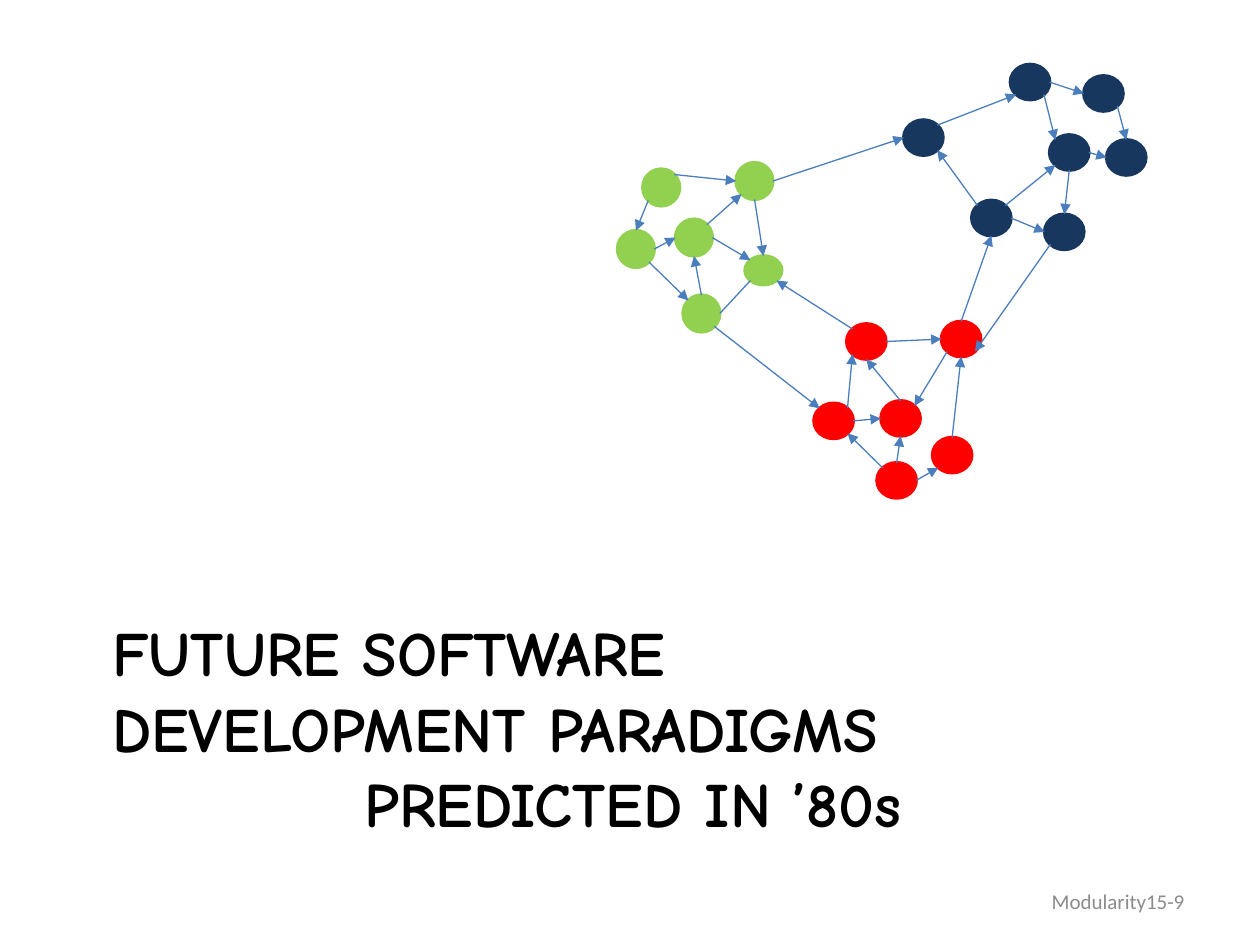
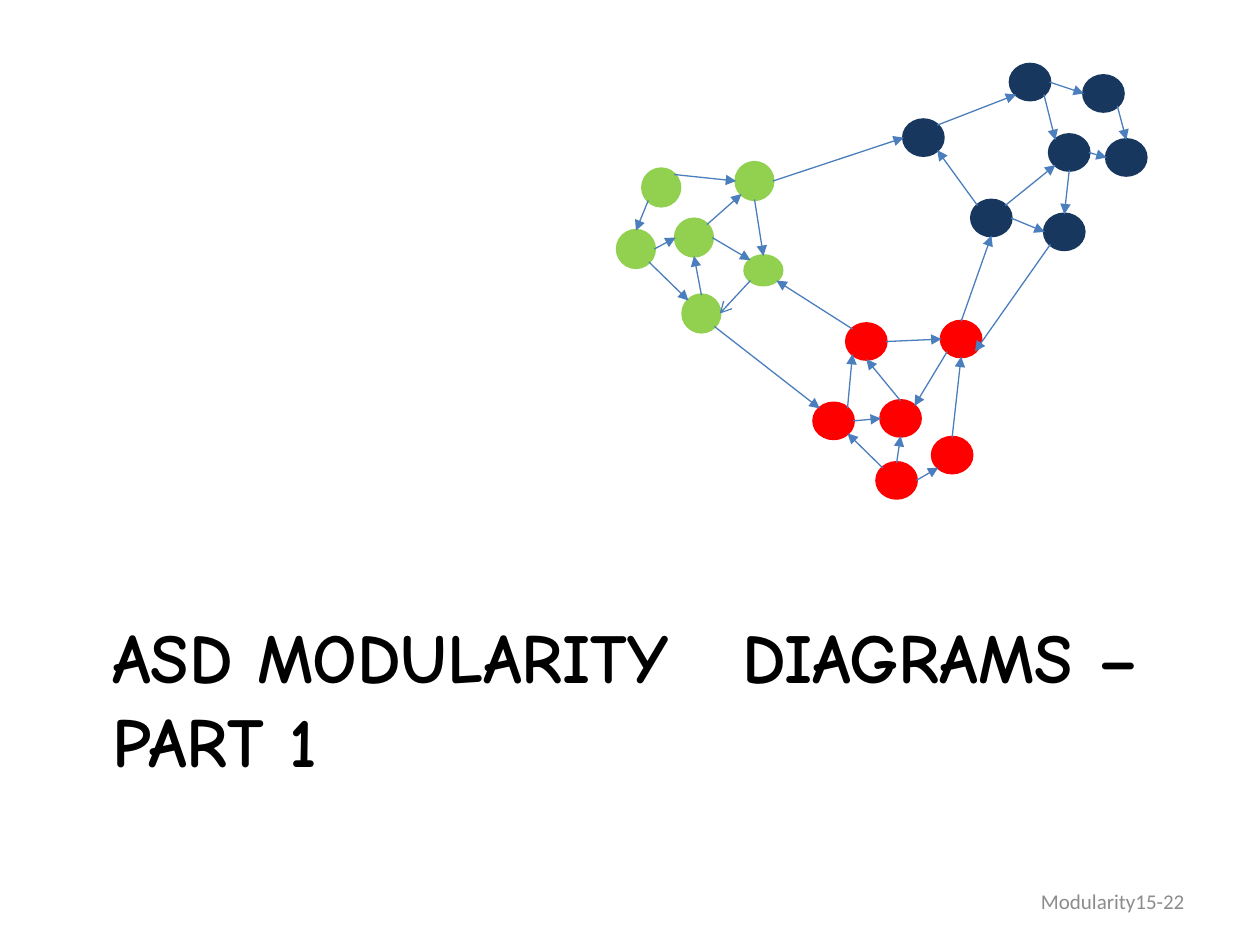
from math import cos, radians, sin

from pptx import Presentation
from pptx.dml.color import RGBColor
from pptx.enum.shapes import MSO_CONNECTOR as Connector, MSO_SHAPE as Shape
from pptx.enum.text import MSO_ANCHOR as Anchor, MSO_AUTO_SIZE as AutoSize, PP_ALIGN as Align
from pptx.oxml.ns import qn
from pptx.oxml.xmlchemy import OxmlElement
from pptx.util import Cm, Pt

NAVY = RGBColor(0x17, 0x37, 0x5E)
RED = RGBColor(0xFF, 0x00, 0x00)
GREEN = RGBColor(0x92, 0xD0, 0x50)
LINK_BLUE = RGBColor(0x4B, 0x7E, 0xBC)
BLACK = RGBColor(0x00, 0x00, 0x00)
GRAY = RGBColor(0x8C, 0x8C, 0x8C)

TITLE_FONT = "Comic Neue"
FOOTER_FONT = "Calibri"
TITLE_ONLY = 5

NETWORK_BOX = (12.45, 1.3)
FOOTER_BOX = (18.21, 17.65, 5.92, 1.02)
TITLE_LEFT, TITLE_TOP, TITLE_HEIGHT = 2.01, 12.24, 3.78

CLUSTERS = [
    (NAVY, (0.79, 0.71), {
        "N1": (5.77, 1.12), "N2": (7.92, 0), "N3": (9.4, 0.23), "N4": (9.86, 1.52),
        "N5": (8.71, 1.42), "N6": (8.61, 3.02), "N7": (7.14, 2.74),
    }),
    (RED, (0.79, 0.71), {
        "R1": (6.53, 5.18), "R2": (5.31, 6.78), "R3": (5.23, 8.03),
        "R4": (3.96, 6.83), "R5": (4.62, 5.23), "R6": (6.35, 7.52),
    }),
    (GREEN, (0.74, 0.58), {"G1": (2.57, 3.86)}),
    (GREEN, (0.74, 0.74), {
        "G2": (2.39, 1.98), "G3": (1.17, 3.12), "G4": (0.51, 2.11),
        "G5": (0, 3.35), "G6": (1.32, 4.65),
    }),
]

SITE_ANGLES = {"E": 0, "SE": 45, "S": 90, "SW": 135, "W": 180, "NW": 225, "N": 270, "NE": 315}

LINKS = [
    "N2.E N3.W", "N2.SE N5.NW", "N3.SE N4.N", "N5.E N4.W", "N5.S N6.N", "N7.NE N5.SW",
    "N7.NW N1.SE", "N7.E N6.W", "N1.NE N2.SW", "G2.E N1.W", "G4.NE G2.W", "G4.SW G5.N",
    "G5.E G3.W", "G3.NE G2.SW", "G2.S G1.N", "G6.N G3.S", "G3.E G1.NW", "G5.SE G6.NW",
    "R5.NW G1.SE", "G6.SE R4.NW", "R4.NE R5.SW", "R5.E R1.W", "R1.SW R2.NE", "R6.N R1.S",
    "R3.E R6.SW", "R3.N R2.S", "R2.N R5.S", "R3.NW R4.SE", "R4.E R2.W", "R1.N N7.S",
    "N6.SW R1.SE",
]
RETURN_LINK = "G6.E G1.SW"


def style_font(paragraph, name, size, color, bold=False):
    """Format every run of a paragraph."""
    for run in paragraph.runs:
        run.font.name = name
        run.font.size = Pt(size)
        run.font.bold = bold
        run.font.color.rgb = color


def add_node(group, left, top, width, height, color):
    """Add one round module node and return it."""
    node = group.shapes.add_shape(Shape.OVAL, Cm(left), Cm(top), Cm(width), Cm(height))
    node.shadow.inherit = False
    node.fill.solid()
    node.fill.fore_color.rgb = color
    node.line.color.rgb = color
    node.line.width = Pt(2)
    return node


def site_point(nodes, site):
    """Return the point on a node's rim named like 'N2.SE'."""
    name, direction = site.split(".")
    node, angle = nodes[name], radians(SITE_ANGLES[direction])
    return (int(node.left + node.width / 2 * (1 + cos(angle))),
            int(node.top + node.height / 2 * (1 + sin(angle))))


def add_link(group, nodes, link, arrow_end=None, arrow_type="triangle"):
    """Join two nodes with a line, with an arrowhead if an end is named."""
    start, end = (site_point(nodes, site) for site in link.split())
    connector = group.shapes.add_connector(Connector.STRAIGHT, *start, *end)
    connector.line.color.rgb = LINK_BLUE
    connector.line.width = Pt(0.75)
    if arrow_end:
        arrowhead = OxmlElement(f"a:{arrow_end}")
        arrowhead.set("type", arrow_type)
        connector.element.spPr.find(qn("a:ln")).append(arrowhead)
    connector.element.spPr.append(OxmlElement("a:effectLst"))


def add_network(slide, box, return_arrow):
    """Draw the three linked module clusters from the box's top left corner."""
    left, top = box
    group = slide.shapes.add_group_shape()
    nodes = {}
    for color, size, places in CLUSTERS:
        for name, (x, y) in places.items():
            nodes[name] = add_node(group, left + x, top + y, *size, color)
    for link in LINKS:
        add_link(group, nodes, link, "tailEnd")
    add_link(group, nodes, RETURN_LINK, "headEnd" if return_arrow else None, "arrow")


def set_title(slide, lines, size, width):
    """Place the title and write its lines, each with an indent in cm."""
    title = slide.shapes.title
    title.left, title.top = Cm(TITLE_LEFT), Cm(TITLE_TOP)
    title.width, title.height = Cm(width), Cm(TITLE_HEIGHT)
    frame = title.text_frame
    frame.text = "\n".join(text for text, _ in lines)
    frame.word_wrap = True
    frame.auto_size = AutoSize.NONE
    frame.vertical_anchor = Anchor.TOP
    for paragraph, (_, indent) in zip(frame.paragraphs, lines):
        paragraph.alignment = Align.LEFT
        paragraph._p.get_or_add_pPr().set("marL", str(Cm(indent)))
        style_font(paragraph, TITLE_FONT, size, BLACK, bold=True)


def add_footer(slide, box, number):
    """Write the page label at the right of the box."""
    frame = slide.shapes.add_textbox(*map(Cm, box)).text_frame
    frame.text = f"Modularity15-{number}"
    frame.word_wrap = True
    frame.vertical_anchor = Anchor.MIDDLE
    frame.paragraphs[0].alignment = Align.RIGHT
    style_font(frame.paragraphs[0], FOOTER_FONT, 12, GRAY)


def add_section_slide(presentation, lines, size, title_width, number, return_arrow):
    """Add a section slide with title, network and page label."""
    slide = presentation.slides.add_slide(presentation.slide_layouts[TITLE_ONLY])
    set_title(slide, lines, size, title_width)
    add_network(slide, NETWORK_BOX, return_arrow)
    add_footer(slide, FOOTER_BOX, number)


def main():
    """Build and save the two section slides."""
    presentation = Presentation()
    presentation.slide_width, presentation.slide_height = Cm(25.4), Cm(19.05)
    add_section_slide(
        presentation,
        [("FUTURE SOFTWARE", 0), ("DEVELOPMENT PARADIGMS", 0), ("PREDICTED IN ’80s", 5.08)],
        size=36, title_width=23.39, number=9, return_arrow=False)
    add_section_slide(
        presentation,
        [("ASD MODULARITY \tDIAGRAMS – PART 1", 0)],
        size=40, title_width=21.59, number=22, return_arrow=True)
    presentation.save("out.pptx")


if __name__ == "__main__":
    main()
